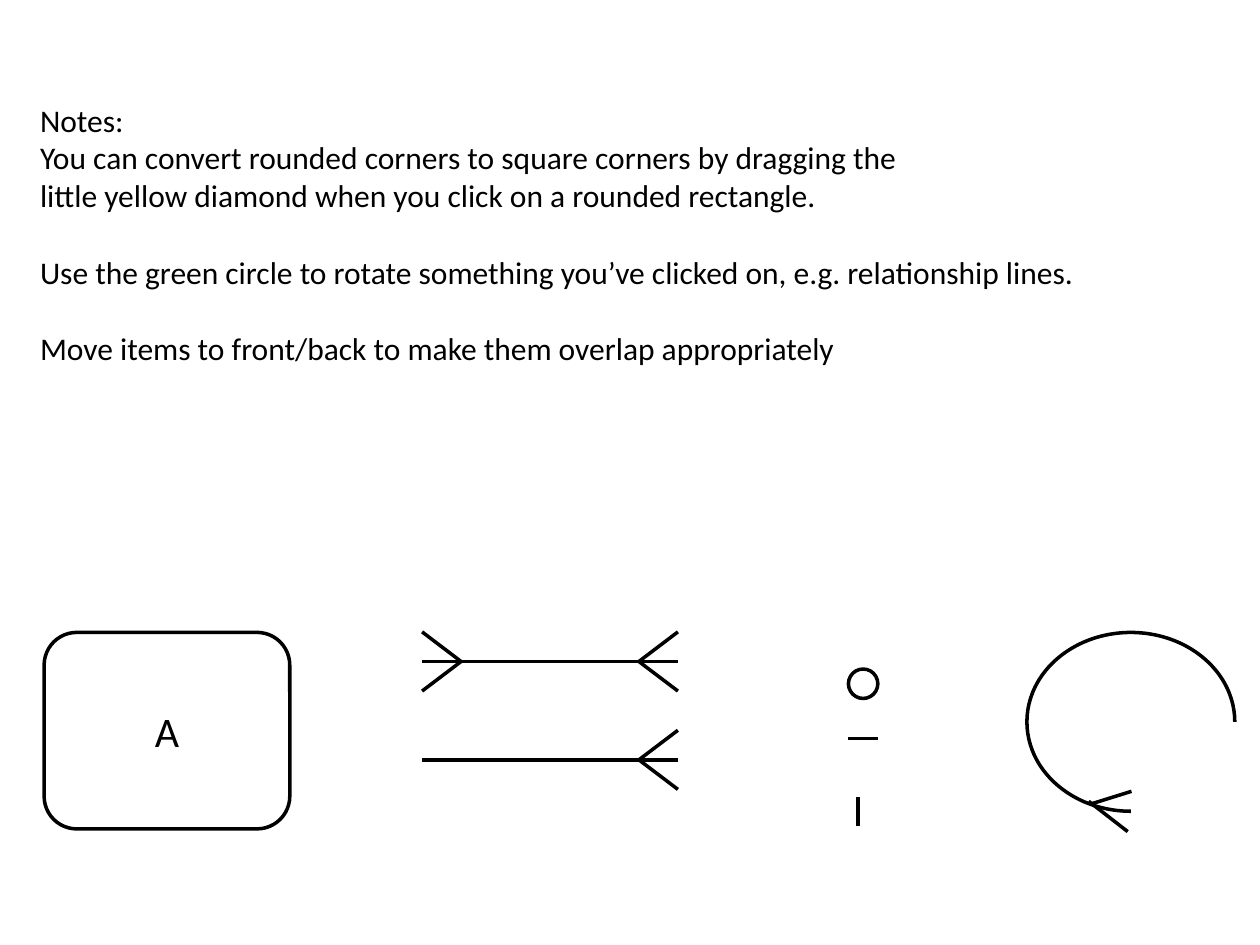
from lxml.etree import SubElement
from pptx import Presentation
from pptx.dml.color import RGBColor
from pptx.enum.shapes import MSO_CONNECTOR, MSO_SHAPE
from pptx.enum.text import MSO_ANCHOR, MSO_AUTO_SIZE, PP_ALIGN
from pptx.oxml.ns import qn
from pptx.util import Pt

BLACK = RGBColor(0, 0, 0)
WHITE = RGBColor(255, 255, 255)
FONT = "Calibri"
LINE_WIDTH = 2

# Each note: text, space before in points
NOTES = [
    ("Notes:", 0),
    ("You can convert rounded corners to square corners by dragging the", 0),
    ("little yellow diamond when you click on a rounded rectangle.", 0),
    ("Use the green circle to rotate something you’ve clicked on, "
     "e.g. relationship lines.", 22),
    ("Move items to front/back to make them overlap appropriately", 22),
]
NOTES_BOX = (15.8, 54, 612.7, 160)

ENTITY_BOX = (25.2, 361.4, 140.4, 112.3)
OPTIONAL_CIRCLE = (484.8, 382.3, 16.8, 16.8)
CARDINALITY_MARKS = [
    (501.6, 421.9, 484.8, 421.9),
    (490.3, 472.3, 490.3, 455.5),
]

RELATION_LEFT, RELATION_RIGHT = 241.2, 387.4
FOOT_LENGTH, FOOT_SPREAD = 22.3, 16.9
# Each relationship: height on the slide, whether the left end is "many"
RELATIONS = [(434.2, False), (378, True)]

SELF_ARC = (586.8, 361.4, 118.8, 102.2)
ARC_START = 54  # a quarter turn, in units of 100000 / 60000 degrees
SELF_FOOT = [
    (622.1, 457.9, 644.4, 475.2),
    (623.5, 459.4, 646.6, 452.2),
]


def write_text(frame, paragraphs, size, align=PP_ALIGN.LEFT,
               anchor=MSO_ANCHOR.TOP, wrap=True):
    frame.word_wrap = wrap
    frame.vertical_anchor = anchor
    for index, (text, space_before) in enumerate(paragraphs):
        paragraph = frame.add_paragraph() if index else frame.paragraphs[0]
        paragraph.text = text
        paragraph.alignment = align
        if space_before:
            paragraph.space_before = Pt(space_before)
        paragraph.font.name = FONT
        paragraph.font.size = Pt(size)
        paragraph.font.color.rgb = BLACK


def style_line(line):
    line.color.rgb = BLACK
    line.width = Pt(LINE_WIDTH)


def add_outlined(shapes, kind, box):
    shape = shapes.add_shape(kind, *map(Pt, box))
    shape.shadow.inherit = False
    shape.fill.solid()
    shape.fill.fore_color.rgb = WHITE
    style_line(shape.line)
    return shape


def add_line(shapes, ends):
    line = shapes.add_connector(MSO_CONNECTOR.STRAIGHT, *map(Pt, ends))
    style_line(line.line)
    SubElement(line._element.spPr, qn("a:effectLst"))


def add_foot(shapes, end, direction, y):
    """Add the two outer toes of a crow's foot; direction is 1 for right, -1 for left."""
    heel = end - direction * FOOT_LENGTH
    for spread in (FOOT_SPREAD, -FOOT_SPREAD):
        add_line(shapes, (heel, y, end, y + spread))


def main():
    presentation = Presentation()
    presentation.slide_width, presentation.slide_height = Pt(720), Pt(540)
    slide = presentation.slides.add_slide(presentation.slide_layouts[6])
    shapes = slide.shapes

    entity = add_outlined(shapes, MSO_SHAPE.ROUNDED_RECTANGLE, ENTITY_BOX)
    write_text(entity.text_frame, [("A", 0)], size=24,
               align=PP_ALIGN.CENTER, anchor=MSO_ANCHOR.MIDDLE)

    for y, many_left in RELATIONS:
        relation = shapes.add_group_shape().shapes
        add_line(relation, (RELATION_LEFT, y, RELATION_RIGHT, y))
        add_foot(relation, RELATION_RIGHT, 1, y)
        if many_left:
            add_foot(relation, RELATION_LEFT, -1, y)

    add_outlined(shapes, MSO_SHAPE.OVAL, OPTIONAL_CIRCLE)
    for mark in CARDINALITY_MARKS:
        add_line(shapes, mark)

    notes = shapes.add_textbox(*map(Pt, NOTES_BOX)).text_frame
    write_text(notes, NOTES, size=18, wrap=False)
    notes.auto_size = MSO_AUTO_SIZE.SHAPE_TO_FIT_TEXT

    self_relation = shapes.add_group_shape().shapes
    arc = add_outlined(self_relation, MSO_SHAPE.ARC, SELF_ARC)
    arc.adjustments[0] = ARC_START
    arc.adjustments[1] = 0
    for toe in SELF_FOOT:
        add_line(self_relation, toe)

    presentation.save("out.pptx")


if __name__ == "__main__":
    main()
